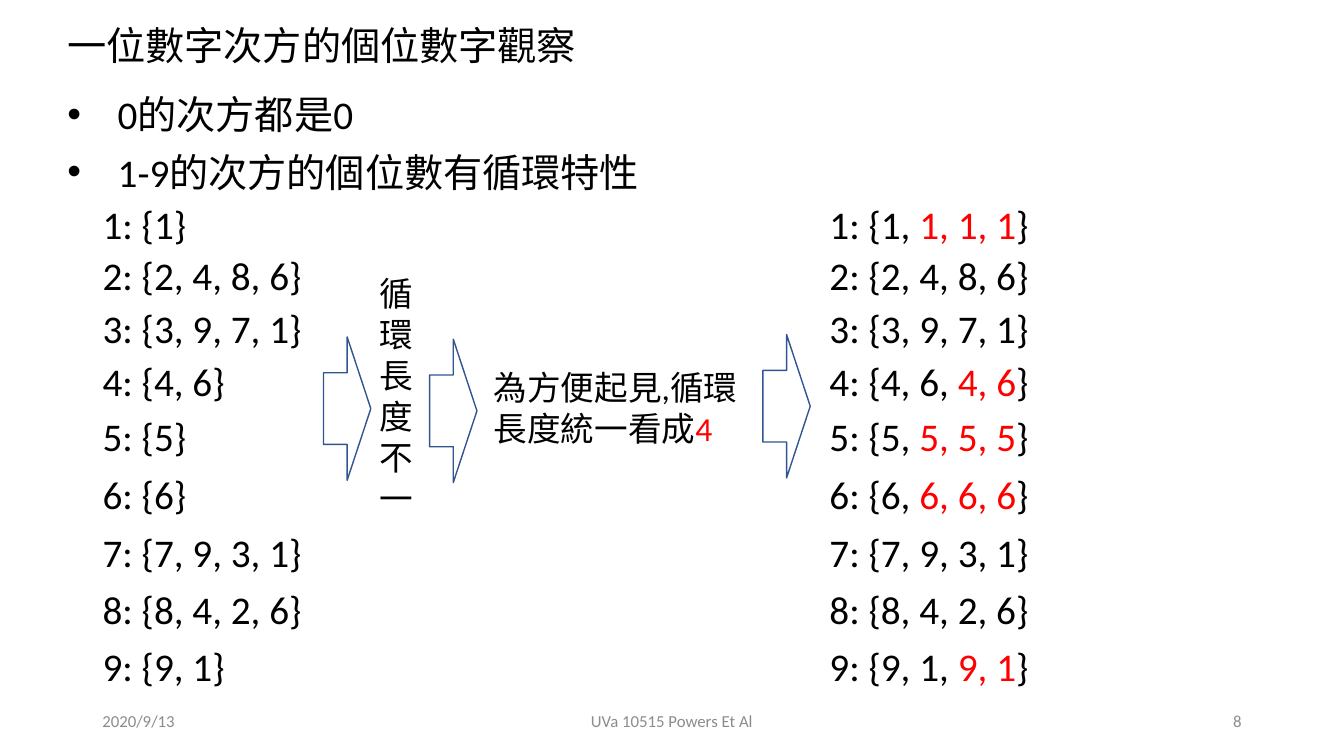
from lxml.etree import SubElement as Sub
from pptx import Presentation
from pptx.dml.color import RGBColor as RGB
from pptx.enum.shapes import MSO_SHAPE as Shape
from pptx.enum.text import MSO_ANCHOR as Anchor, MSO_AUTO_SIZE as Fit, PP_ALIGN as Align
from pptx.oxml.ns import qn
from pptx.util import Pt

INK = {"text": "000000", "red": "FF0000", "foot": "8C8C8C", "edge": "325491"}
LATIN, HAN = "Calibri", "Noto Sans CJK SC"

# Boxes are left, top, width, height; runs are (text, colour).
TITLE = ("一位數字次方的個位數字觀察", (41, 10.8, 412.6, 41))
POINTS = [
    ("0的次方都是0", (41, 60.5, 252.7, 41)),
    ("1-9的次方的個位數有循環特性", (41, 101.5, 438.5, 41)),
]
NOTES = [
    ([("循環長度不一", "text")], (264.2, 190.8, 32.4, 181.4)),
    ([("為方便起見,循環長度統一看成", "text"), ("4", "red")], (345.6, 257.8, 205.9, 65.5)),
]
FOOT = [
    ("2020/9/13", (66, 500.5, 216, 28.8), Align.LEFT),
    ("UVa 10515 Powers Et Al", (318, 500.5, 324, 28.8), Align.CENTER),
    ("8", (678, 500.5, 216, 28.8), Align.RIGHT),
]
CYCLES = ["1", "2486", "3971", "46", "5", "6", "7931", "8426", "91"]
TOPS = [139, 175.7, 213.1, 251.3, 290.2, 331.9, 373, 414, 455]
LEFT_X, RIGHT_X, ROW_W, ROW_H = 66.2, 585.4, 198, 41
ARROWS = [(231.1, 240.7), (306.9, 242.3), (545, 239)]
ARROW_W, ARROW_H = 33.8, 102.4
LENGTH = 4

deck = Presentation()
deck.slide_width, deck.slide_height = Pt(960), Pt(540)
slide = deck.slides.add_slide(deck.slide_layouts[6])


def add_text(shapes, runs, box, size=28, align=Align.LEFT, anchor=Anchor.TOP,
             fit=Fit.SHAPE_TO_FIT_TEXT, bullet=False):
    frame = shapes.add_textbox(*map(Pt, box)).text_frame
    for key, val in {"word_wrap": True, "auto_size": fit, "vertical_anchor": anchor}.items():
        setattr(frame, key, val)
    para = frame.paragraphs[0]
    para.alignment = align
    para.line_spacing = Pt(round(size * 1.22, 1))
    if bullet:
        props = para._p.get_or_add_pPr()
        props.set("marL", str(Pt(36)))
        props.set("indent", str(-Pt(36)))
        Sub(props, qn("a:buFont"), typeface="Arial")
        Sub(props, qn("a:buChar"), char="•")
    for text, ink in runs:
        run = para.add_run()
        run.text = text
        for key, val in {"size": Pt(size), "name": LATIN}.items():
            setattr(run.font, key, val)
        run.font.color.rgb = RGB.from_string(INK[ink])
        Sub(run._r.get_or_add_rPr(), qn("a:ea"), typeface=HAN)


def add_column(left, padded):
    """List the cycles, each repeated in red up to LENGTH digits if padded."""
    group = slide.shapes.add_group_shape()
    for num, (cycle, top) in enumerate(zip(CYCLES, TOPS), 1):
        head = f"{num}: {{" + ", ".join(cycle)
        more = (cycle * LENGTH)[len(cycle):LENGTH] if padded else ""
        if more:
            runs = [(head + ", ", "text"), (", ".join(more), "red"), ("}", "text")]
        else:
            runs = [(head + "}", "text")]
        add_text(group.shapes, runs, (left, top, ROW_W, ROW_H))


for text, box, align in FOOT:
    add_text(slide.shapes, [(text, "foot")], box, 12, align, Anchor.MIDDLE, Fit.NONE)
add_text(slide.shapes, [(TITLE[0], "text")], TITLE[1])
for text, box in POINTS:
    add_text(slide.shapes, [(text, "text")], box, bullet=True)
add_column(LEFT_X, False)
for runs, box in NOTES:
    add_text(slide.shapes, runs, box, 24)
add_column(RIGHT_X, True)
for left, top in ARROWS:
    arrow = slide.shapes.add_shape(Shape.RIGHT_ARROW, *map(Pt, (left, top, ARROW_W, ARROW_H)))
    arrow.shadow.inherit = False
    arrow.fill.background()
    arrow.line.width = Pt(1)
    arrow.line.color.rgb = RGB.from_string(INK["edge"])

deck.save("out.pptx")
